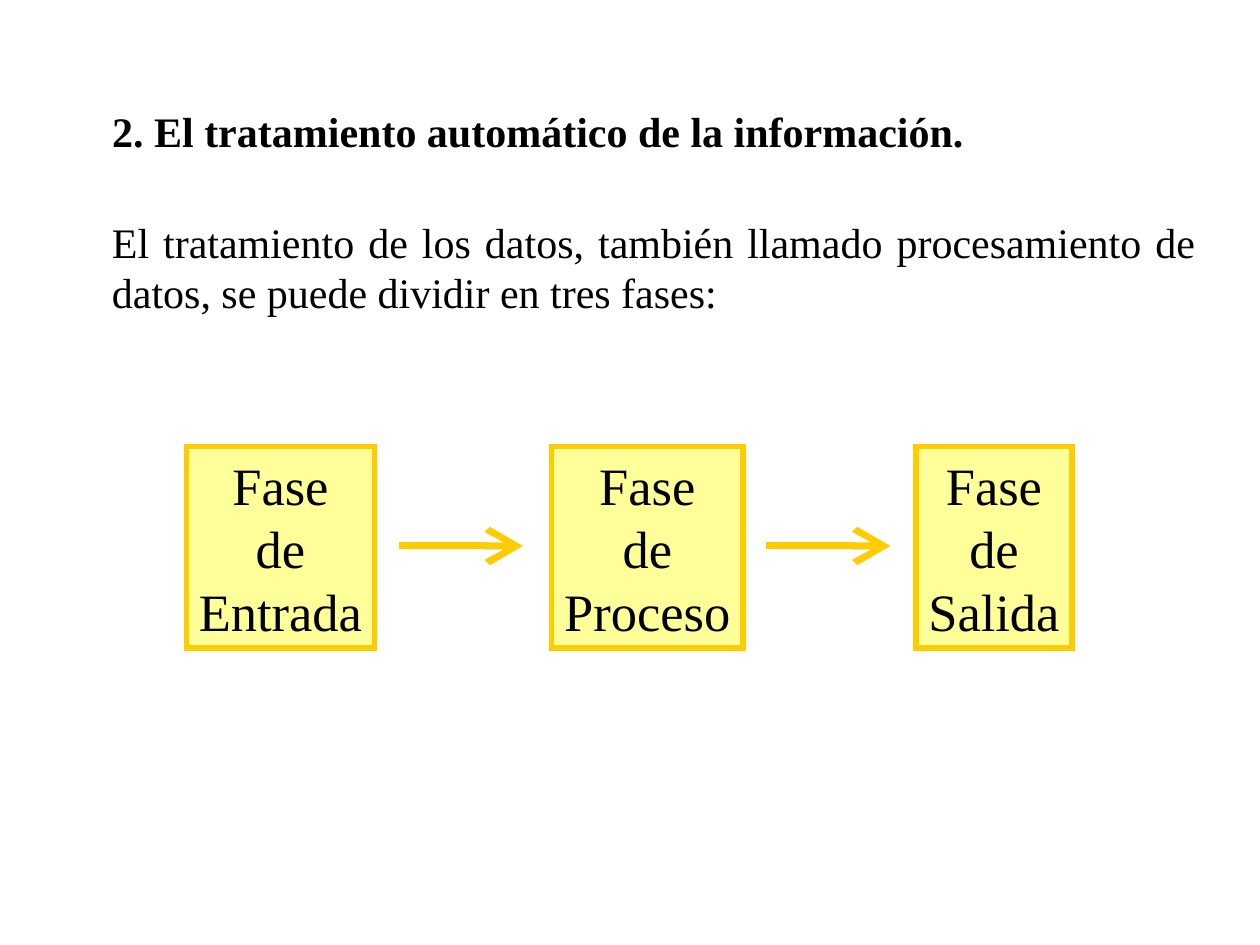
from dataclasses import dataclass

from lxml import etree
from pptx import Presentation
from pptx.dml.color import RGBColor
from pptx.enum import shapes, text
from pptx.oxml import ns
from pptx.util import Pt

COLORS = {"ink": "000000", "box": "FFFF99", "edge": "FFCC00"}
FONT = "Times New Roman"
MARGIN = 56.9
BOX_TOP, BOX_HEIGHT = 255.1, 115.2
ARROW_Y = 312


@dataclass
class Phase:
    name: str
    left: float
    width: float


@dataclass
class Arrow:
    start: float
    end: float


PHASES = [
    Phase("Entrada", 106.6, 107.3),
    Phase("Proceso", 315.2, 109.4),
    Phase("Salida", 523.4, 89.3),
]
ARROWS = [Arrow(228.2, 298.8), Arrow(438, 508.8)]


def color(name: str) -> RGBColor:
    return RGBColor.from_string(COLORS[name])


def write(shape, lines: list[str], size: float, align, wrap: bool,
          bold: bool = False, side: float = 7.2) -> None:
    frame = shape.text_frame
    frame_format = {
        "word_wrap": wrap,
        "auto_size": text.MSO_AUTO_SIZE.SHAPE_TO_FIT_TEXT,
        "vertical_anchor": text.MSO_ANCHOR.TOP,
        "margin_left": Pt(side),
        "margin_right": Pt(side),
        "margin_top": Pt(3.6),
        "margin_bottom": Pt(3.6),
    }
    for key, value in frame_format.items():
        setattr(frame, key, value)
    font_format = {"name": FONT, "size": Pt(size), "bold": bold}
    for index, line in enumerate(lines):
        para = frame.add_paragraph() if index else frame.paragraphs[0]
        para.alignment = align
        span = para.add_run()
        span.text = line
        for key, value in font_format.items():
            setattr(span.font, key, value)
        span.font.color.rgb = color("ink")


def draw_edge(shape, width: float):
    """Colour the line, give it sharp corners and return its XML element."""
    shape.line.color.rgb = color("edge")
    shape.line.width = Pt(width)
    line = shape.line._get_or_add_ln()
    etree.SubElement(line, ns.qn("a:miter"), lim="800000")
    return line


def draw_phase(page, phase: Phase) -> None:
    box = page.shapes.add_shape(
        shapes.MSO_SHAPE.RECTANGLE,
        Pt(phase.left), Pt(BOX_TOP), Pt(phase.width), Pt(BOX_HEIGHT))
    box.shadow.inherit = False
    box.fill.solid()
    box.fill.fore_color.rgb = color("box")
    draw_edge(box, 3)
    # Narrow side margins keep the longest word on one line
    write(box, ["Fase", "de", phase.name], 30, text.PP_ALIGN.CENTER, wrap=False, side=4)


def draw_arrow(page, arrow: Arrow) -> None:
    connector = page.shapes.add_connector(
        shapes.MSO_CONNECTOR.STRAIGHT,
        Pt(arrow.start), Pt(ARROW_Y), Pt(arrow.end), Pt(ARROW_Y))
    line = draw_edge(connector, 4)
    etree.SubElement(line, ns.qn("a:tailEnd"), type="arrow", w="lg", len="lg")
    etree.SubElement(connector._element.spPr, ns.qn("a:effectLst"))


def main() -> None:
    deck = Presentation()
    deck.slide_width, deck.slide_height = Pt(720), Pt(540)
    page = deck.slides.add_slide(deck.slide_layouts.get_by_name("Title Only"))

    # Heading
    title = page.shapes.title
    place = {"left": MARGIN, "top": 56.9, "width": 501.1, "height": 36}
    for key, value in place.items():
        setattr(title, key, Pt(value))
    write(title, ["2. El tratamiento automático de la información."], 24,
          text.PP_ALIGN.LEFT, wrap=False, bold=True)

    # Introduction
    intro = page.shapes.add_textbox(Pt(MARGIN), Pt(120.2), Pt(633.6), Pt(64.8))
    write(intro, ["El tratamiento de los datos, también llamado procesamiento de datos, "
                  "se puede dividir en tres fases:"], 24, text.PP_ALIGN.JUSTIFY, wrap=True)

    # Phases and the arrows between them
    for phase in PHASES:
        draw_phase(page, phase)
    for arrow in ARROWS:
        draw_arrow(page, arrow)

    deck.save("out.pptx")


if __name__ == "__main__":
    main()
